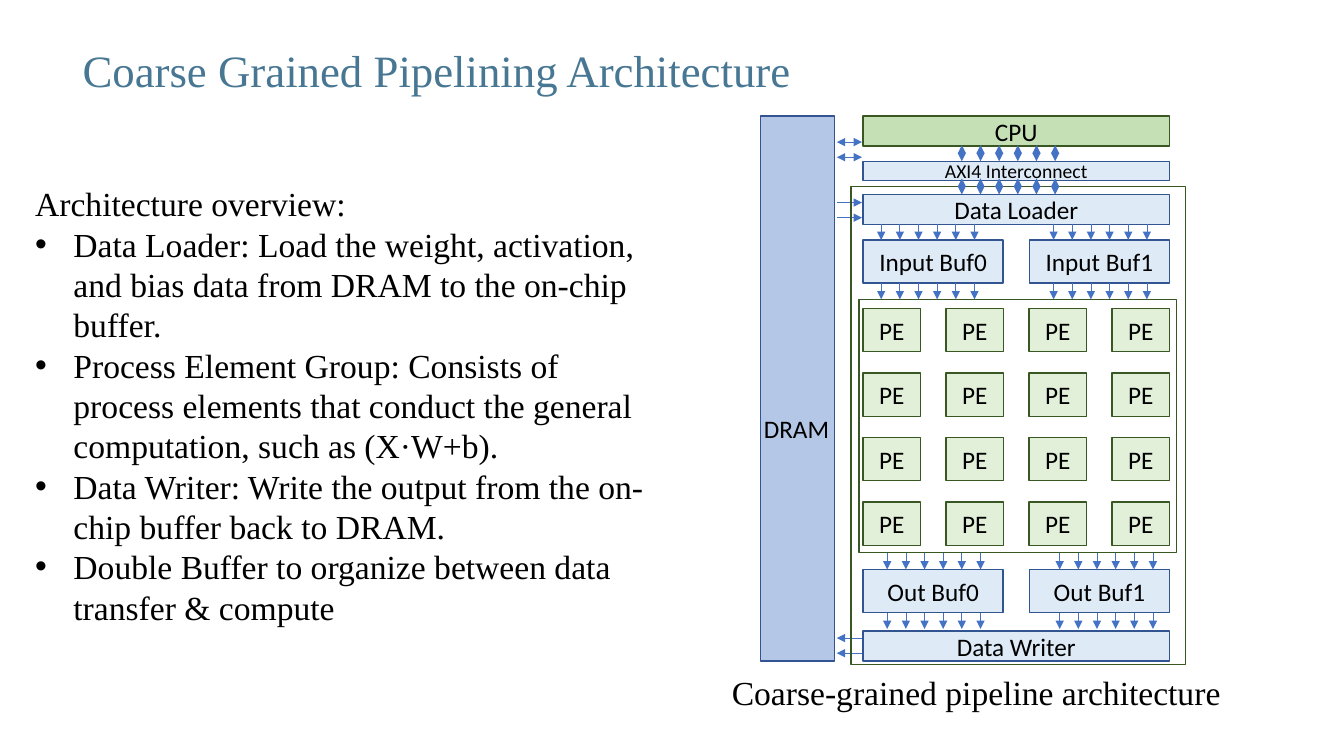
from collections import namedtuple

from pptx import Presentation
from pptx.dml.color import RGBColor
from pptx.enum.shapes import MSO_CONNECTOR, MSO_SHAPE
from pptx.enum.text import MSO_ANCHOR, PP_ALIGN
from pptx.oxml.ns import qn
from pptx.util import Inches, Pt
from lxml.etree import SubElement

COLORS = {
    "title": "487793", "text": "000000", "arrow": "4472C4",
    "blue_edge": "325491", "green_edge": "385723",
    "dram": "B4C7E7", "block": "DEEBF7", "cpu": "C5E0B4", "pe": "E2F0D9",
}
SERIF, SANS = "Times New Roman", "Calibri"
Box = namedtuple("Box", "left top width height")

TITLE = "Coarse Grained Pipelining Architecture"
CAPTION = "Coarse-grained pipeline architecture"
OVERVIEW = "Architecture overview:"
OVERVIEW_POINTS = [
    "Data Loader: Load the weight, activation, and bias data from DRAM to the on-chip buffer.",
    "Process Element Group: Consists of process elements that conduct the general "
    "computation, such as (X·W+b).",
    "Data Writer: Write the output from the on-chip buffer back to DRAM.",
    "Double Buffer to organize between data transfer & compute",
]
ARROWS_PER_ROW, ARROW_PITCH, ARROW_LENGTH = 6, 0.185, 0.16
BUS_PITCH, BUS_LENGTH = 0.15, 0.25
BAR_HEIGHT = 0.3


def rgb(name):
    return RGBColor.from_string(COLORS[name])


def style(paragraph, size, font, color="text"):
    for run in paragraph.runs:
        run.font.size = Pt(size)
        run.font.name = font
        run.font.color.rgb = rgb(color)


def add_text(slide, box, lines, size, font=SERIF, color="text", anchor=MSO_ANCHOR.TOP):
    frame = slide.shapes.add_textbox(*map(Inches, box)).text_frame
    frame.word_wrap = True
    frame.vertical_anchor = anchor
    frame.text = "\n".join(lines)
    for paragraph in frame.paragraphs:
        style(paragraph, size, font, color)
    return frame


def add_block(slide, box, edge, fill=None, label="", size=18):
    block = slide.shapes.add_shape(MSO_SHAPE.RECTANGLE, *map(Inches, box))
    block.shadow.inherit = False
    block.line.color.rgb = rgb(edge)
    block.line.width = Pt(1)
    if fill:
        block.fill.solid()
        block.fill.fore_color.rgb = rgb(fill)
    else:
        block.fill.background()
    if label:
        frame = block.text_frame
        frame.margin_left = frame.margin_right = 0
        frame.margin_top = frame.margin_bottom = 0
        frame.vertical_anchor = MSO_ANCHOR.MIDDLE
        frame.text = label
        frame.paragraphs[0].alignment = PP_ALIGN.CENTER
        style(frame.paragraphs[0], size, SANS)


def add_arrow(slide, x1, y1, x2, y2, ends):
    arrow = slide.shapes.add_connector(
        MSO_CONNECTOR.STRAIGHT, *map(Inches, (x1, y1, x2, y2)))
    arrow.line.color.rgb = rgb("arrow")
    arrow.line.width = Pt(0.5)
    properties = arrow._element.spPr
    for end in ends:
        SubElement(properties.find(qn("a:ln")), qn(f"a:{end}"), type="triangle")
    SubElement(properties, qn("a:effectLst"))


def add_arrow_row(slide, left, top, ends=("tailEnd",)):
    for i in range(ARROWS_PER_ROW):
        x = left + i * ARROW_PITCH
        add_arrow(slide, x, top, x, top + ARROW_LENGTH, ends)


def add_bus(slide, left, top, ends):
    for y in (top, top + BUS_PITCH):
        add_arrow(slide, left, y, left + BUS_LENGTH, y, ends)


def draw_title(slide, box):
    frame = add_text(slide, box, [TITLE], 32, color="title", anchor=MSO_ANCHOR.MIDDLE)
    frame.paragraphs[0].line_spacing = 0.9


def draw_overview(slide, box):
    frame = add_text(slide, box, [OVERVIEW, *OVERVIEW_POINTS], 24)
    for point in frame.paragraphs[1:]:
        properties = point._p.get_or_add_pPr()
        properties.set("marL", str(Inches(0.38)))
        properties.set("indent", str(-Inches(0.38)))
        SubElement(properties, qn("a:buFont"), typeface="Arial")
        SubElement(properties, qn("a:buChar"), char="•")


def draw_memory(slide, box):
    add_block(slide, box, "blue_edge", "dram")
    label_box = Box(box.left - 0.11, box.top + 2.98, 0.94, 0.24)
    frame = add_text(slide, label_box, ["DRAM"], 18, SANS, anchor=MSO_ANCHOR.MIDDLE)
    frame.paragraphs[0].alignment = PP_ALIGN.CENTER

    # Links to the host, the loader and the writer
    bus_left = box.left + box.width + 0.02
    add_bus(slide, bus_left, box.top + 0.26, ("headEnd", "tailEnd"))
    add_bus(slide, bus_left, box.top + 0.86, ("tailEnd",))
    add_bus(slide, bus_left, box.top + 5.18, ("headEnd",))


def draw_host(slide, box):
    add_block(slide, box._replace(height=BAR_HEIGHT), "green_edge", "cpu", "CPU")
    add_block(slide, Box(box.left, box.top + 0.45, box.width, 0.19),
              "blue_edge", "block", "AXI4 Interconnect", 14)
    for top in (0.29, 0.62):
        add_arrow_row(slide, box.left + 0.98, box.top + top, ("headEnd", "tailEnd"))


def draw_pe_group(slide, box):
    add_block(slide, box, "green_edge")
    columns = rows = 4
    width, height, row_pitch = 0.57, 0.43, 0.64
    column_pitch = (box.width - 0.11 - width) / (columns - 1)
    for row in range(rows):
        for column in range(columns):
            add_block(slide, Box(box.left + 0.04 + column * column_pitch,
                                 box.top + 0.09 + row * row_pitch, width, height),
                      "green_edge", "pe", "PE")


def draw_chip(slide, box):
    add_block(slide, box, "green_edge")
    left, width = box.left + 0.12, 3.04
    buffer_width, buffer_height = 1.39, 0.43

    # Loader and writer bars
    for label, top in (("Data Loader", 0.08), ("Data Writer", 4.41)):
        add_block(slide, Box(left, box.top + top, width, BAR_HEIGHT),
                  "blue_edge", "block", label)

    draw_pe_group(slide, Box(box.left + 0.08, box.top + 1.12, 3.15, 2.51))

    # Double buffers, with arrows into and out of each
    for stage, top, arrow_inset in (("Input", 0.53, 0.18), ("Out", 3.8, 0.24)):
        for i in range(2):
            buffer_left = left + i * (width - buffer_width)
            buffer_top = box.top + top
            add_block(slide, Box(buffer_left, buffer_top, buffer_width, buffer_height),
                      "blue_edge", "block", f"{stage} Buf{i}")
            arrow_left = left + arrow_inset + i * 1.71
            add_arrow_row(slide, arrow_left, buffer_top - ARROW_LENGTH)
            add_arrow_row(slide, arrow_left, buffer_top + buffer_height)


def draw_architecture(slide, box):
    draw_memory(slide, Box(box.left + 0.38, box.top, 0.74, 5.41))
    draw_chip(slide, Box(box.left + 1.28, box.top + 0.7, 3.32, 4.74))
    draw_host(slide, Box(box.left + 1.4, box.top, 3.04, 0.64))
    add_text(slide, Box(box.left, box.top + 5.47, box.width, 0.5), [CAPTION], 24)


def main():
    deck = Presentation()
    deck.slide_width, deck.slide_height = Inches(13.33), Inches(7.5)
    slide = deck.slides.add_slide(deck.slide_layouts[6])
    draw_title(slide, Box(0.72, 0.31, 9.82, 0.83))
    draw_overview(slide, Box(0.25, 1.77, 6.25, 4.54))
    draw_architecture(slide, Box(7.16, 1.15, 5.06, 5.97))
    deck.save("out.pptx")


if __name__ == "__main__":
    main()
